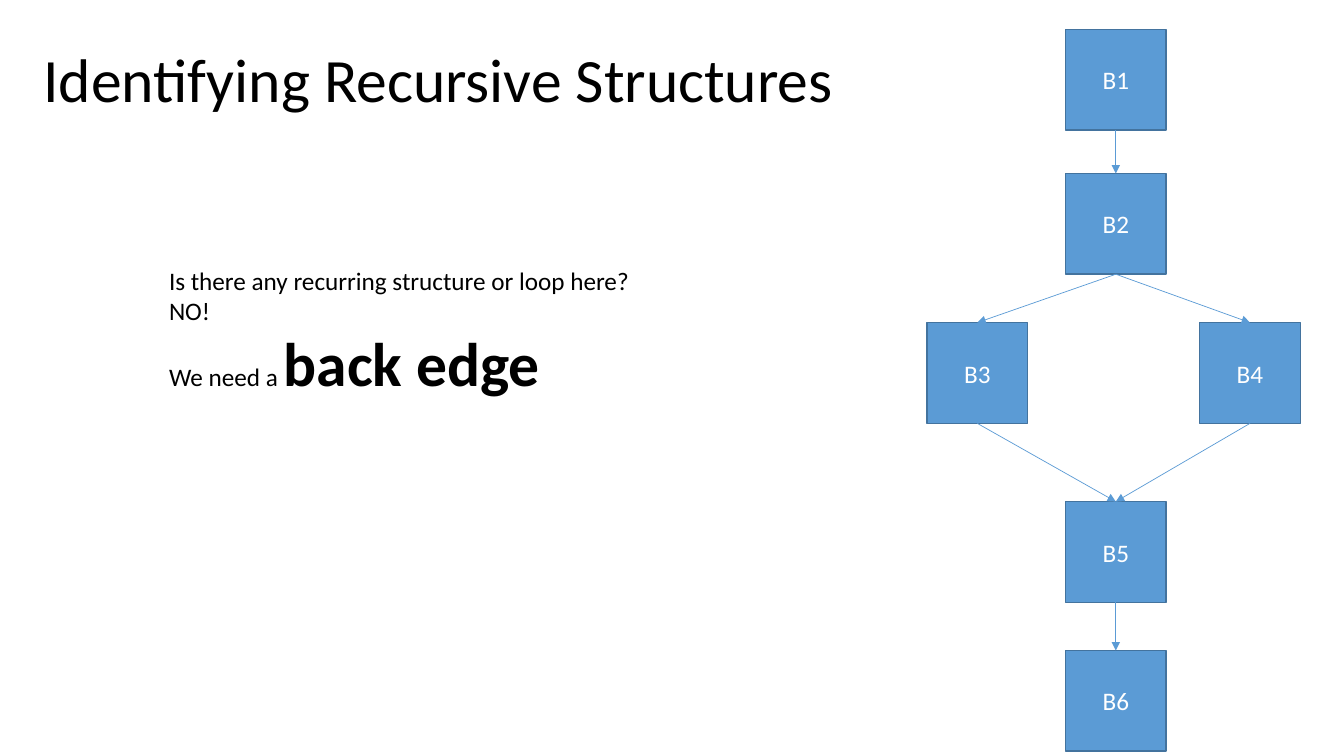
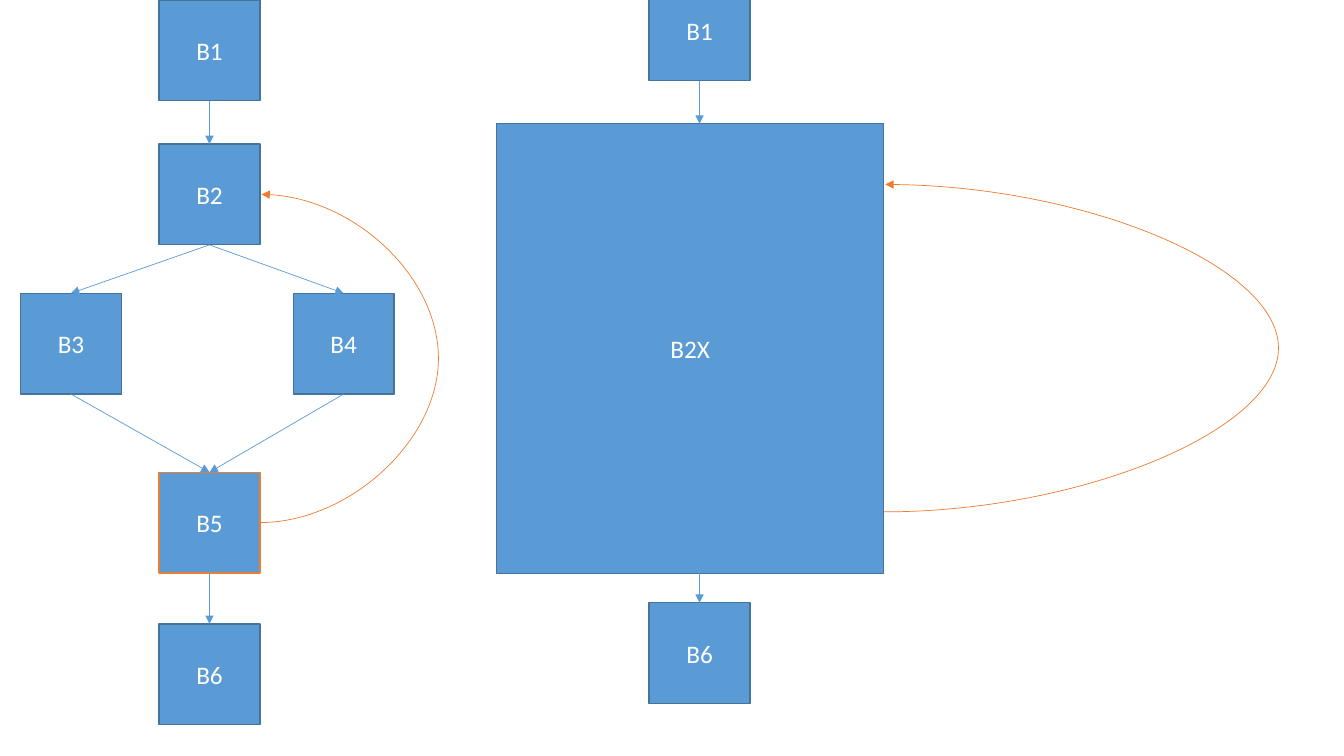
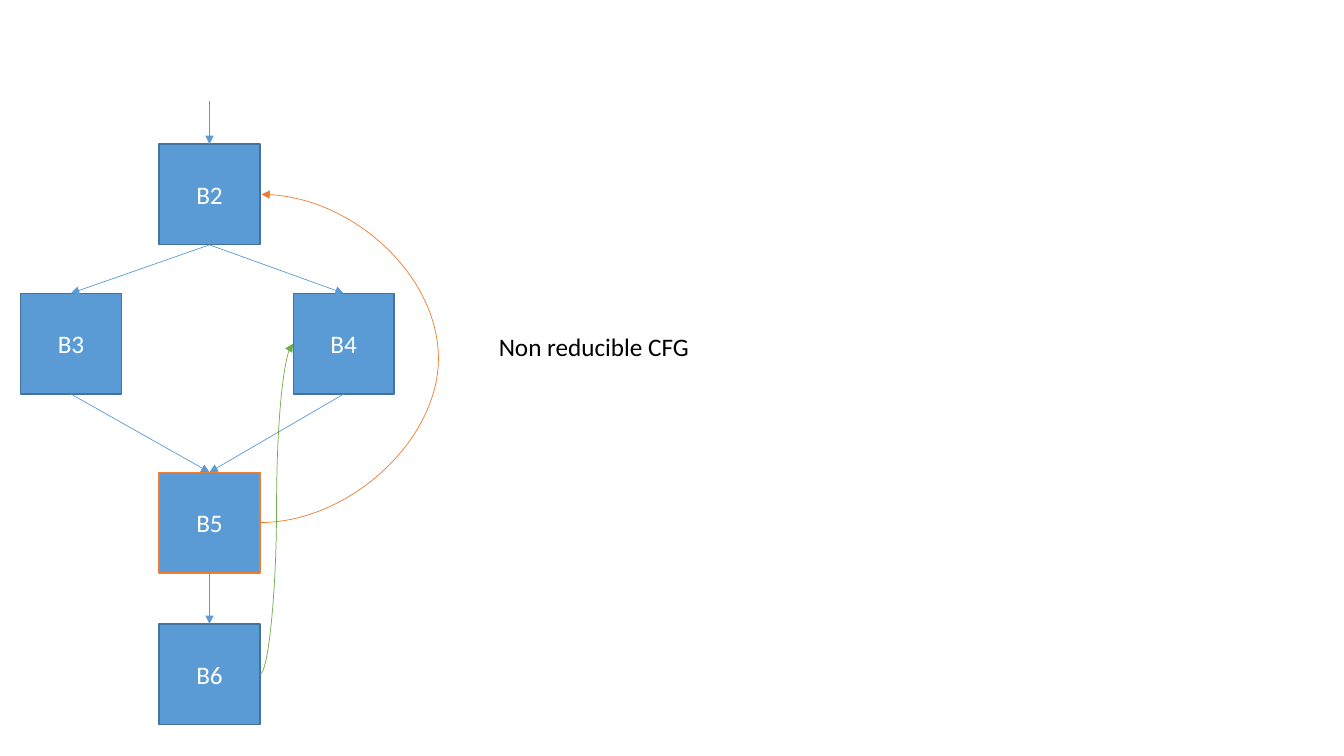
from dataclasses import dataclass
from typing import Any

from lxml.etree import SubElement
from pptx import Presentation
from pptx.dml.color import RGBColor
from pptx.enum.shapes import MSO_CONNECTOR, MSO_SHAPE
from pptx.enum.text import MSO_ANCHOR, MSO_AUTO_SIZE, PP_ALIGN
from pptx.oxml.ns import qn
from pptx.util import Cm, Pt

# Shared look
BLUE, EDGE, ORANGE, GREEN = "5B9BD5", "43739E", "ED7D31", "70AD47"
BLACK, WHITE = "000000", "FFFFFF"
BODY = {"name": "Calibri", "size": Pt(18), "bold": False}
LARGE = BODY | {"size": Pt(44)}
STRONG = LARGE | {"bold": True}
LOOSE = {"word_wrap": False, "auto_size": MSO_AUTO_SIZE.SHAPE_TO_FIT_TEXT}
FIXED = {"word_wrap": True, "vertical_anchor": MSO_ANCHOR.MIDDLE}

SIDE = 2.54


@dataclass(frozen=True)
class Box:
    """A block of the flow graph, in centimetres."""
    text: str
    left: float
    top: float
    width: float = SIDE
    height: float = SIDE
    line: str = EDGE

    @property
    def mid(self) -> float:
        return self.left + self.width / 2

    @property
    def right(self) -> float:
        return self.left + self.width

    @property
    def base(self) -> float:
        return self.top + self.height

    @property
    def centre(self) -> float:
        return self.top + self.height / 2


@dataclass(frozen=True)
class Run:
    text: str
    style: dict


# Graph layout: offsets from the first block, and the arrows between blocks
SPOTS = {"B1": (0, 0), "B2": (0, 3.63), "B3": (-3.49, 7.39),
         "B4": (3.38, 7.39), "B5": (0, 11.9)}
LINKS = [("B1", "B2"), ("B2", "B3"), ("B2", "B4"),
         ("B3", "B5"), ("B4", "B5"), ("B5", "B6")]


def apply(item: Any, values: dict) -> None:
    for key, value in values.items():
        setattr(item, key, value)


def tint(code: str) -> RGBColor:
    return RGBColor.from_string(code)


def write(para: Any, runs: list[Run], code: str) -> None:
    for part in runs:
        run = para.add_run()
        run.text = part.text
        apply(run.font, part.style)
        run.font.color.rgb = tint(code)


def add_text(slide: Any, at: tuple, lines: list[list[Run]], frame: dict) -> Any:
    body = slide.shapes.add_textbox(*map(Cm, at)).text_frame
    apply(body, frame)
    for i, runs in enumerate(lines):
        write(body.add_paragraph() if i else body.paragraphs[0], runs, BLACK)
    return body


def add_box(slide: Any, box: Box) -> None:
    shape = slide.shapes.add_shape(
        MSO_SHAPE.RECTANGLE, *map(Cm, (box.left, box.top, box.width, box.height)))
    shape.shadow.inherit = False
    shape.fill.solid()
    shape.fill.fore_color.rgb = tint(BLUE)
    shape.line.color.rgb = tint(box.line)
    shape.line.width = Pt(1)
    apply(shape.text_frame, FIXED)
    para = shape.text_frame.paragraphs[0]
    para.alignment = PP_ALIGN.CENTER
    write(para, [Run(box.text, BODY)], WHITE)


def add_arrow(slide: Any, start: tuple, end: tuple, code: str = BLUE,
              bulge: float = 0) -> None:
    """Draw an arrow; a bulge makes it a curve that swings out that far."""
    kind = MSO_CONNECTOR.CURVE if bulge else MSO_CONNECTOR.STRAIGHT
    link = slide.shapes.add_connector(kind, *map(Cm, start + end))
    link.line.color.rgb = tint(code)
    link.line.width = Pt(0.5)
    SubElement(link.line._get_or_add_ln(), qn("a:tailEnd"), type="triangle")
    props = link._element.spPr
    SubElement(props, qn("a:effectLst"))
    if bulge:
        ratio = round(Cm(bulge) / link.width * 100000)
        guides = props.find(qn("a:prstGeom")).get_or_add_avLst()
        SubElement(guides, qn("a:gd"), name="adj1", fmla=f"val {ratio}")


def add_down(slide: Any, upper: Box, lower: Box) -> None:
    add_arrow(slide, (upper.mid, upper.base), (lower.mid, lower.top))


def add_back(slide: Any, side: float, low: float, high: float,
             bulge: float) -> None:
    add_arrow(slide, (side, low), (side + 0.04, high), ORANGE, bulge)


def add_graph(slide: Any, left: float, top: float, last: float,
              loop: bool = False, skip: str = "") -> dict[str, Box]:
    spots = SPOTS | {"B6": (0, last)}
    boxes = {name: Box(name, left + x, top + y,
                       line=ORANGE if loop and name == "B5" else EDGE)
             for name, (x, y) in spots.items()}
    for name, box in boxes.items():
        if name != skip:
            add_box(slide, box)
    for upper, lower in LINKS:
        add_down(slide, boxes[upper], boxes[lower])
    if loop:
        tail, head = boxes["B5"], boxes["B2"]
        add_back(slide, tail.right, tail.centre, head.centre, 4.5)
    return boxes


def main() -> None:
    deck = Presentation()
    apply(deck, {"slide_width": Cm(33.87), "slide_height": Cm(19.05)})
    first, second, third = (deck.slides.add_slide(deck.slide_layouts[6])
                            for _ in range(3))

    # Slide 1: graph without a loop
    title = add_text(first, (0.84, 0.23, 29.21, 3.68),
                     [[Run("Identifying Recursive Structures", LARGE)]], FIXED)
    title.paragraphs[0].line_spacing = 0.9
    add_graph(first, 26.85, 0.74, 15.65)
    add_text(first, (4.01, 6.55, 12.24, 3.68),
             [[Run("Is there any recurring structure or loop here?", BODY)],
              [Run("NO!", BODY)],
              [Run("We need a ", BODY), Run("back edge", STRONG)]], LOOSE)

    # Slide 2: loop with a back edge, and its reduced form
    add_graph(second, 4.01, 0, 15.72, loop=True)
    entry = Box("B1", 16.36, -0.51)
    whole = Box("B2X", 12.52, 3.12, 9.75, 11.33)
    leave = Box("B6", 16.36, 15.19)
    for box in (entry, whole, leave):
        add_box(second, box)
    add_down(second, entry, Box("", entry.left, whole.top))
    add_arrow(second, (leave.mid, whole.base), (leave.mid, leave.top))
    add_back(second, whole.right, 12.9, 4.65, 9.95)

    # Slide 3: a second way into the loop
    boxes = add_graph(third, 4.01, 0, 15.72, loop=True, skip="B1")
    tail, head = boxes["B6"], boxes["B4"]
    add_arrow(third, (tail.right, tail.centre), (head.left, head.centre),
              GREEN, (head.left - tail.right) / 2)
    add_text(third, (12.32, 8.23, 5.36, 1.02),
             [[Run("Non reducible CFG", BODY)]], LOOSE)

    deck.save("out.pptx")


if __name__ == "__main__":
    main()
